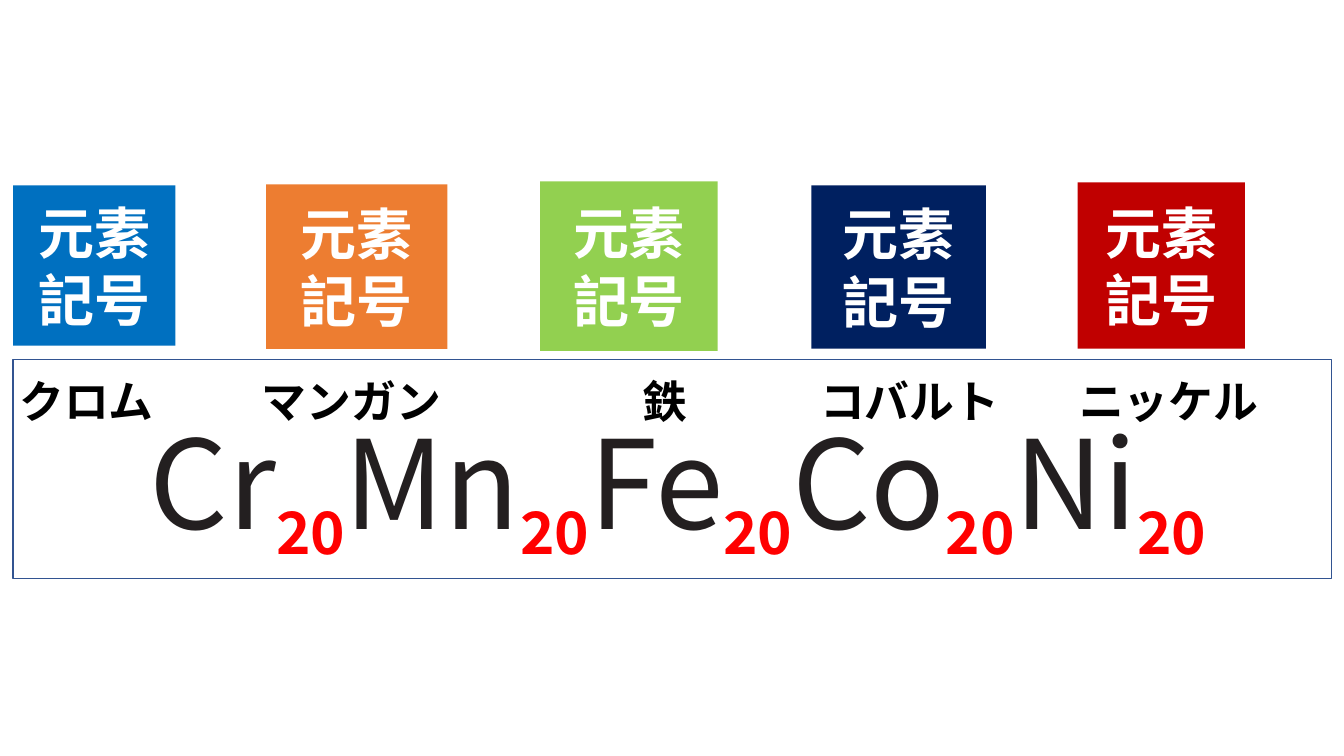
import pptx
import pptx.util
import pptx.dml.color
import pptx.enum.shapes
import pptx.enum.text
from lxml import etree
from pptx.oxml.ns import qn

Pt = pptx.util.Pt
FONT = "Noto Sans CJK JP"
TILE_LINES = ["元素", "記号"]
FORMULA = ["Cr", "Mn", "Fe", "Co", "Ni"]
PERCENT = "20"
FORMULA_AREA = (4.3, 286.6, 960, 113.8)
FRAME_AREA = (9.4, 257, 941.8, 156.2)
LABEL_TOP, LABEL_HEIGHT = 263.5, 46
# name, label left, label width, tile colour, tile area
ELEMENTS = [
    ("クロム", -2.2, 128.2, "0070C0", (9.4, 132.5, 115.9, 114.5)),
    ("マンガン", 167, 168.5, "ED7D31", (190.1, 131.8, 129.6, 117.4)),
    ("鉄", 413.3, 123.8, "92D050", (385.9, 129.6, 126.7, 121)),
    ("コバルト", 578.2, 143.3, "002060", (579.6, 132.5, 124.6, 116.6)),
    ("ニッケル", 763.2, 143.3, "C00000", (769.7, 130.3, 119.5, 118.8)),
]


def rgb(code):
    return pptx.dml.color.RGBColor.from_string(code)


def add_span(para, text, size, color, bold=False, baseline=0):
    """Add one run; baseline is an offset in percent, negative for subscript."""
    span = para.add_run()
    span.text = text
    span.font.size = Pt(size)
    span.font.bold = bold
    span.font.color.rgb = rgb(color)
    span.font.name = FONT
    properties = span._r.get_or_add_rPr()
    etree.SubElement(properties, qn("a:ea")).set("typeface", FONT)
    if baseline:
        properties.set("baseline", str(baseline * 1000))


def add_text_box(page, area):
    """Add a growing text box and return its centred first paragraph."""
    frame = page.shapes.add_textbox(*map(Pt, area)).text_frame
    frame.word_wrap = True
    frame.auto_size = pptx.enum.text.MSO_AUTO_SIZE.SHAPE_TO_FIT_TEXT
    para = frame.paragraphs[0]
    para.alignment = pptx.enum.text.PP_ALIGN.CENTER
    return para


def add_box(page, area, fill=None, line=None):
    box = page.shapes.add_shape(
        pptx.enum.shapes.MSO_SHAPE.RECTANGLE, *map(Pt, area))
    box.shadow.inherit = False
    if fill:
        box.fill.solid()
        box.fill.fore_color.rgb = rgb(fill)
    else:
        box.fill.background()
    if line:
        box.line.color.rgb = rgb(line)
        box.line.width = Pt(1)
    else:
        box.line.fill.background()
    return box


def add_tile(page, area, color):
    frame = add_box(page, area, fill=color).text_frame
    frame.word_wrap = True
    frame.vertical_anchor = pptx.enum.text.MSO_ANCHOR.MIDDLE
    for index, text in enumerate(TILE_LINES):
        para = frame.add_paragraph() if index else frame.paragraphs[0]
        para.alignment = pptx.enum.text.PP_ALIGN.CENTER
        add_span(para, text, 40, "FFFFFF", bold=True)


def main():
    deck = pptx.Presentation()
    deck.slide_width, deck.slide_height = Pt(960), Pt(540)
    page = deck.slides.add_slide(deck.slide_layouts[6])

    formula = add_text_box(page, FORMULA_AREA)
    for symbol in FORMULA:
        add_span(formula, symbol, 88, "231F20")
        add_span(formula, PERCENT, 72, "FF0000", bold=True, baseline=-25)

    for name, left, width, color, tile_area in ELEMENTS:
        label = add_text_box(page, (left, LABEL_TOP, width, LABEL_HEIGHT))
        add_span(label, name, 32, "000000", bold=True)
        add_tile(page, tile_area, color)
    add_box(page, FRAME_AREA, line="325491")

    deck.save("out.pptx")


if __name__ == "__main__":
    main()
